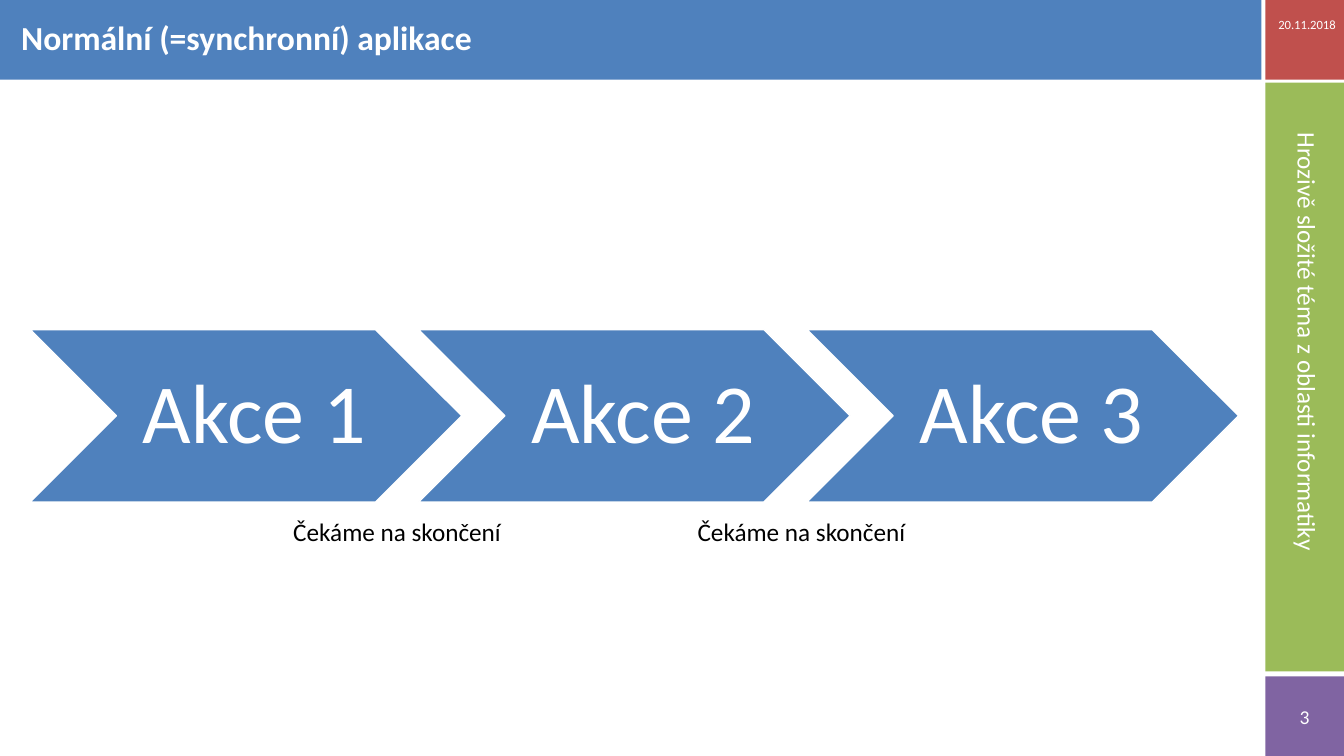
from pptx import Presentation
from pptx.dml.color import RGBColor
from pptx.enum.shapes import MSO_SHAPE as Shape
from pptx.enum.text import MSO_ANCHOR as Anchor, PP_ALIGN as Align
from pptx.util import Inches, Pt

BLUE = RGBColor(0x4F, 0x81, 0xBD)
RED = RGBColor(0xC0, 0x50, 0x4D)
GREEN = RGBColor(0x9B, 0xBB, 0x59)
PURPLE = RGBColor(0x80, 0x64, 0xA2)
WHITE = RGBColor(0xFF, 0xFF, 0xFF)
BLACK = RGBColor(0, 0, 0)

WIDTH, HEIGHT = 13.33, 7.5
BAR = 0.79                 # thickness of the title bar and the side column
SIDE = WIDTH - BAR + 0.01  # left edge of the side column

deck = Presentation()
deck.slide_width, deck.slide_height = Inches(WIDTH), Inches(HEIGHT)
page = deck.slides.add_slide(deck.slide_layouts[5])


def add_block(kind, left, top, width, height, fill):
    block = page.shapes.add_shape(kind, *map(Inches, (left, top, width, height)))
    block.shadow.inherit = False
    block.fill.solid()
    block.fill.fore_color.rgb = fill
    block.line.fill.background()
    return block


def write(box, text, size, color=WHITE, align=Align.LEFT, bold=False,
          anchor=Anchor.MIDDLE, wrap=False):
    frame = box.text_frame
    frame.word_wrap, frame.vertical_anchor = wrap, anchor
    para = frame.paragraphs[0]
    para.alignment = align
    span = para.add_run()
    span.text = text
    span.font.color.rgb = color
    font_format = {"name": "Calibri", "size": Pt(size), "bold": bold}
    for name, value in font_format.items():
        setattr(span.font, name, value)
    return para


# Coloured frame: title bar and side column
for left, top, width, height, fill in (
    (SIDE, HEIGHT - BAR, BAR, BAR, PURPLE),
    (SIDE, 0, BAR, BAR, RED),
    (SIDE, 0.82, BAR, 5.84, GREEN),
    (0, 0, 12.51, BAR, BLUE),
):
    add_block(Shape.RECTANGLE, left, top, width, height, fill)

# Title, moved in front of the bar
title = page.shapes.title
page.shapes._spTree.append(title._element)
title_place = {"left": 0.11, "top": 0.08, "width": 11.95, "height": 0.62}
for name, value in title_place.items():
    setattr(title, name, Inches(value))
write(title, "Normální (=synchronní) aplikace", 24, bold=True, wrap=True).line_spacing = 0.9

# Three consecutive actions
STEP_LEFT, STEP_TOP, STEP_WIDTH, STEP_HEIGHT = 0.3, 3.27, 4.28, 1.71
STEP_PITCH = 0.9 * STEP_WIDTH
for index in range(3):
    step = add_block(Shape.CHEVRON, STEP_LEFT + index * STEP_PITCH, STEP_TOP,
                     STEP_WIDTH, STEP_HEIGHT, BLUE)
    step.line.color.rgb, step.line.width = WHITE, Pt(1)
    step.text_frame.margin_left, step.text_frame.margin_right = Inches(0.17), 0
    write(step, f"Akce {index + 1}", 60, align=Align.CENTER, wrap=True).line_spacing = 0.9

# Side column texts and waiting notes
TOPIC = "Hrozivě složité téma z oblasti informatiky"
WAITING = "Čekáme na skončení"
note = {"color": BLACK, "anchor": Anchor.TOP}
for text, size, place, rotation, options in (
    ("3", 14, (12.42, 6.94, 1.04, 0.34), 0, {"align": Align.CENTER}),
    (TOPIC, 18, (10.73, 3.31, 4.48, 0.3), 90, {}),
    ("20.11.2018", 9, (12.58, 0.05, 0.79, 0.39), 0, {}),
    (WAITING, 18, (2.81, 5.07, 2.29, 0.4), 0, note),
    (WAITING, 18, (6.82, 5.07, 2.29, 0.4), 0, note),
):
    box = page.shapes.add_textbox(*map(Inches, place))
    box.rotation = rotation
    write(box, text, size, **options)

deck.save("out.pptx")
